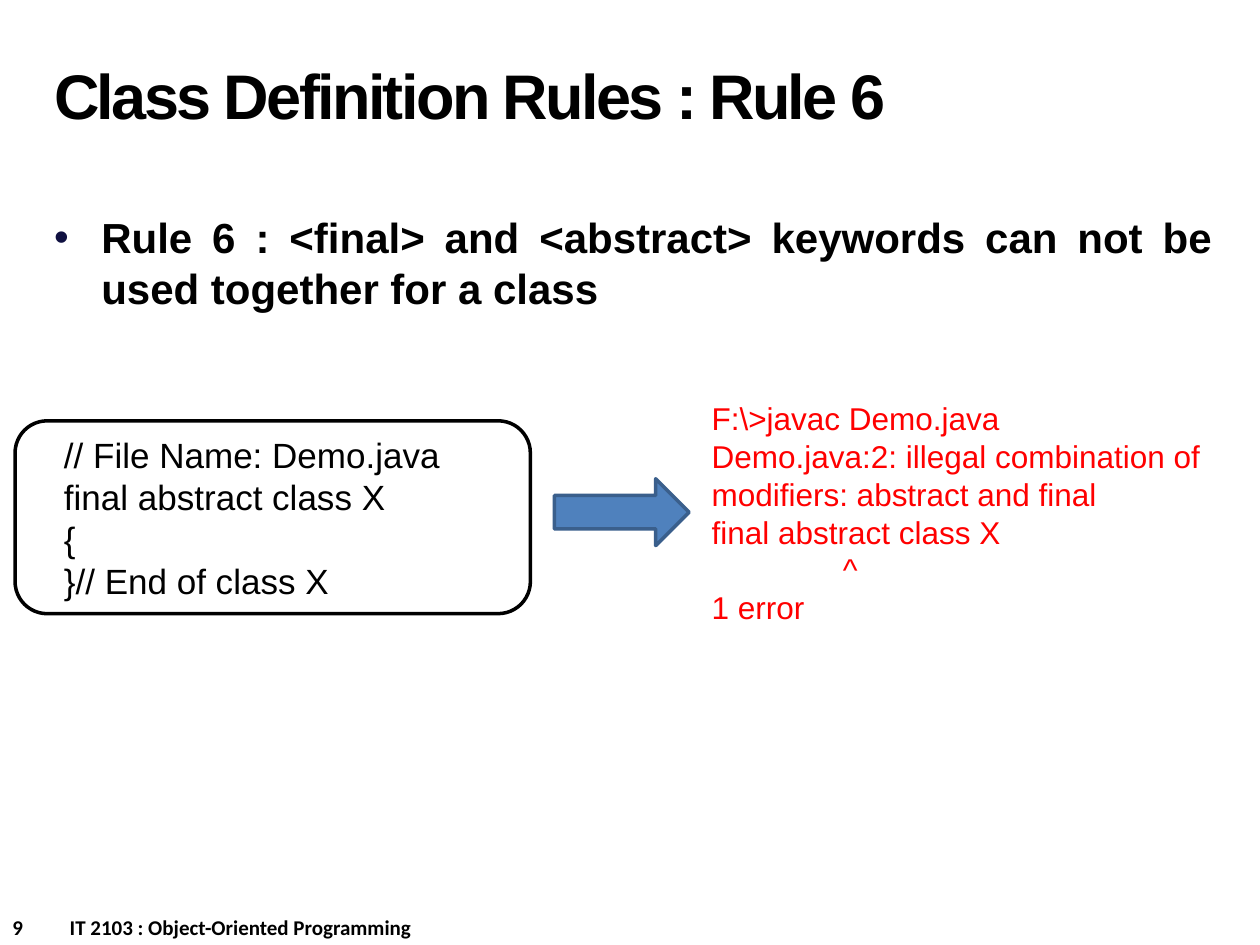
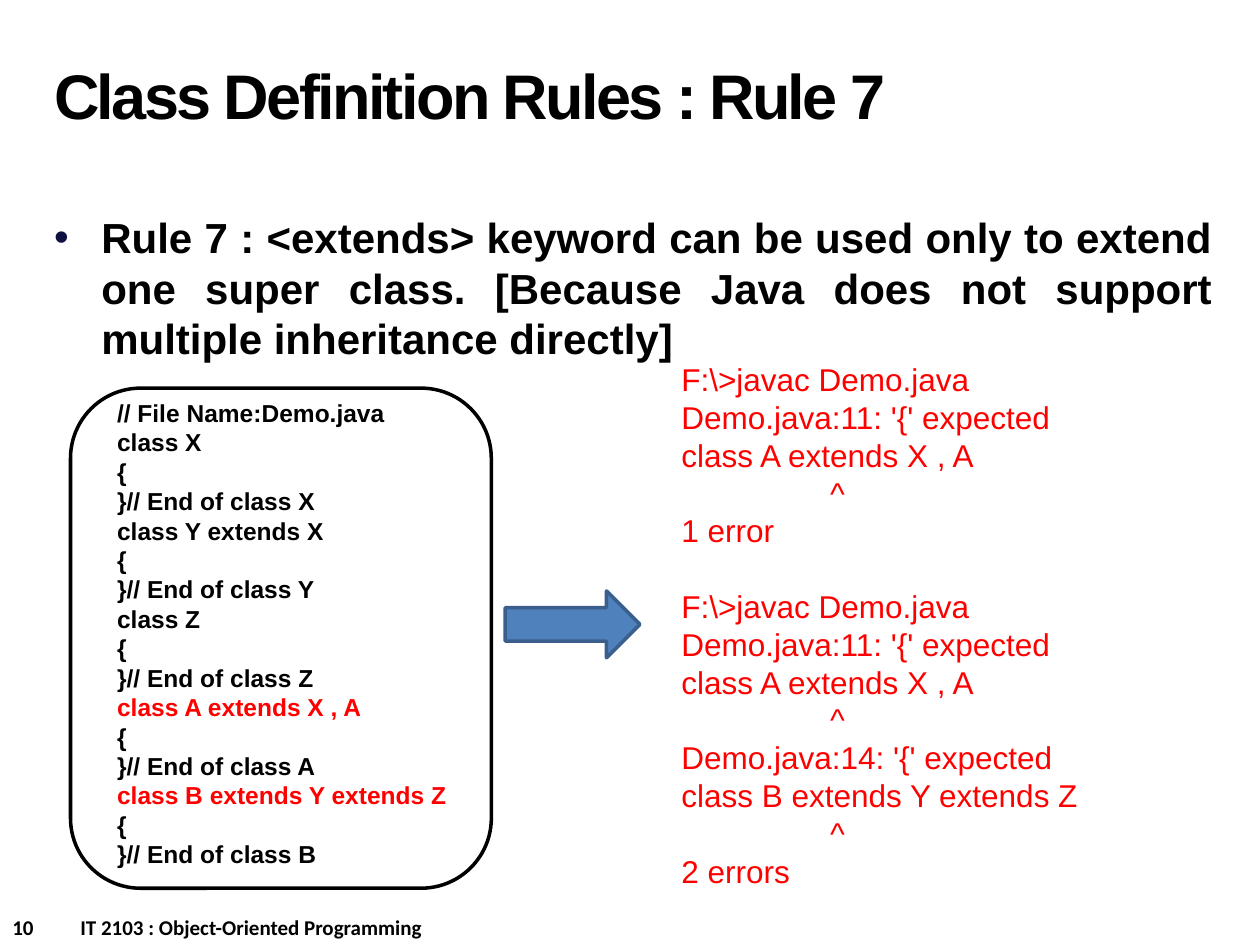
import pptx
import pptx.util
import pptx.dml.color
import pptx.enum.shapes
import pptx.enum.text
import pptx.oxml
import pptx.oxml.ns

Pt = pptx.util.Pt
Shape = pptx.enum.shapes.MSO_SHAPE
Align = pptx.enum.text.PP_ALIGN
Anchor = pptx.enum.text.MSO_ANCHOR
COLORS = {"ink": "000000", "error": "FF0000", "bullet": "101141",
          "arrow": "4F81BD", "edge": "3A5F8C"}
NS = pptx.oxml.ns.nsdecls("a")
COURSE = "IT 2103 : Object-Oriented Programming"


def color(name):
    return pptx.dml.color.RGBColor.from_string(COLORS[name])


def write(slide, text, box, size, ink="ink", bold=False, font="Arial", lead=None,
          align=None, anchor=Anchor.TOP, track=0, bullet=False, tab=0, caret=0, marked=()):
    """Add a text box with one paragraph per line; a blank line becomes spacing."""
    frame = slide.shapes.add_textbox(*map(Pt, box)).text_frame
    frame.word_wrap = True
    frame.vertical_anchor = anchor
    lead = lead or size * 1.2
    para, gap = frame.paragraphs[0], 0
    for count, line in enumerate(text.split("\n")):
        if not line:
            gap = lead
            continue
        if count:
            para = frame.add_paragraph()
        para.line_spacing = Pt(lead)
        para.space_before = Pt(gap)
        gap = 0
        para.alignment = align
        props = para._p.get_or_add_pPr()
        if line == "^":
            props.set("marL", str(Pt(caret)))
        if bullet:
            props.set("marL", str(Pt(27)))
            props.set("indent", str(Pt(-27)))
            for xml in (f'<a:buClr {NS}><a:srgbClr val="{COLORS["bullet"]}"/></a:buClr>',
                        f'<a:buFont {NS} typeface="Arial"/>',
                        f'<a:buChar {NS} char="•"/>'):
                props.append(pptx.oxml.parse_xml(xml))
        if tab:
            props.append(pptx.oxml.parse_xml(
                f'<a:tabLst {NS}><a:tab pos="{Pt(tab)}" algn="l"/></a:tabLst>'))
        run = para.add_run()
        run.text = line
        run.font.name, run.font.size, run.font.bold = font, Pt(size), bold
        run.font.color.rgb = color("error" if line in marked else ink)
        if track:
            run._r.get_or_add_rPr().set("spc", str(track))


SLIDES = [
    dict(
        page=9, rule=6,
        text="<final> and <abstract> keywords can not be used together for a class",
        code="""// File Name: Demo.java
final abstract class X
{
}// End of class X""",
        style=dict(box=(29.5, 244.1, 263, 103), size=20),
        frame=(8.6, 240.5, 294.5, 110.2),
        arrow=(316.8, 273.6),
        output="""F:\\>javac Demo.java
Demo.java:2: illegal combination of modifiers: abstract and final
final abstract class X
^
1 error""",
        result=(399.6, 224.6, 311.8, 138.2), caret=75),
    dict(
        page=10, rule=7,
        text="<extends> keyword can be used only to extend one super class. "
             "[Because Java does not support multiple inheritance directly]",
        code="""// File Name:Demo.java
class X
{
}// End of class X
class Y extends X
{
}// End of class Y
class Z
{
}// End of class Z
class A extends X , A
{
}// End of class A
class B extends Y extends Z
{
}// End of class B""",
        style=dict(box=(59.8, 223.9, 238.3, 278.6), size=14, bold=True,
                   marked=("class A extends X , A", "class B extends Y extends Z")),
        frame=(40.3, 221.8, 240.5, 285.8),
        arrow=(288.7, 337.7),
        output="""F:\\>javac Demo.java
Demo.java:11: '{' expected
class A extends X , A
^
1 error

F:\\>javac Demo.java
Demo.java:11: '{' expected
class A extends X , A
^
Demo.java:14: '{' expected
class B extends Y extends Z
^
2 errors""",
        result=(382.3, 202.3, 297.4, 312.5), caret=85),
]

deck = pptx.Presentation()
deck.slide_width, deck.slide_height = Pt(720), Pt(540)

for item in SLIDES:
    slide = deck.slides.add_slide(deck.slide_layouts[6])
    page, rule = str(item["page"]), item["rule"]
    write(slide, f"{page}\t{COURSE}", (0, 519.1, 360, 21.6), 12, bold=True,
          font="Calibri", lead=14.6, tab=26.7 + 6.1 * len(page))
    write(slide, f"Rule {rule} : {item['text']}", (23.8, 117.4, 676, 101.5), 24,
          bold=True, align=Align.JUSTIFY, bullet=True)
    write(slide, f"Class Definition Rules : Rule {rule}", (23.8, 12.2, 498.2, 90), 36,
          bold=True, lead=36, anchor=Anchor.MIDDLE, track=-150)

    arrow = slide.shapes.add_shape(Shape.RIGHT_ARROW, *map(Pt, (*item["arrow"], 77, 38.2)))
    arrow.fill.solid()
    arrow.fill.fore_color.rgb = color("arrow")
    write(slide, item["code"], **item["style"])
    frame = slide.shapes.add_shape(Shape.ROUNDED_RECTANGLE, *map(Pt, item["frame"]))
    frame.fill.background()
    for shape, edge in ((arrow, "edge"), (frame, "ink")):
        shape.shadow.inherit = False
        shape.line.color.rgb = color(edge)
        shape.line.width = Pt(2)

    write(slide, item["output"], item["result"], 18, ink="error", caret=item["caret"])

deck.save("out.pptx")
